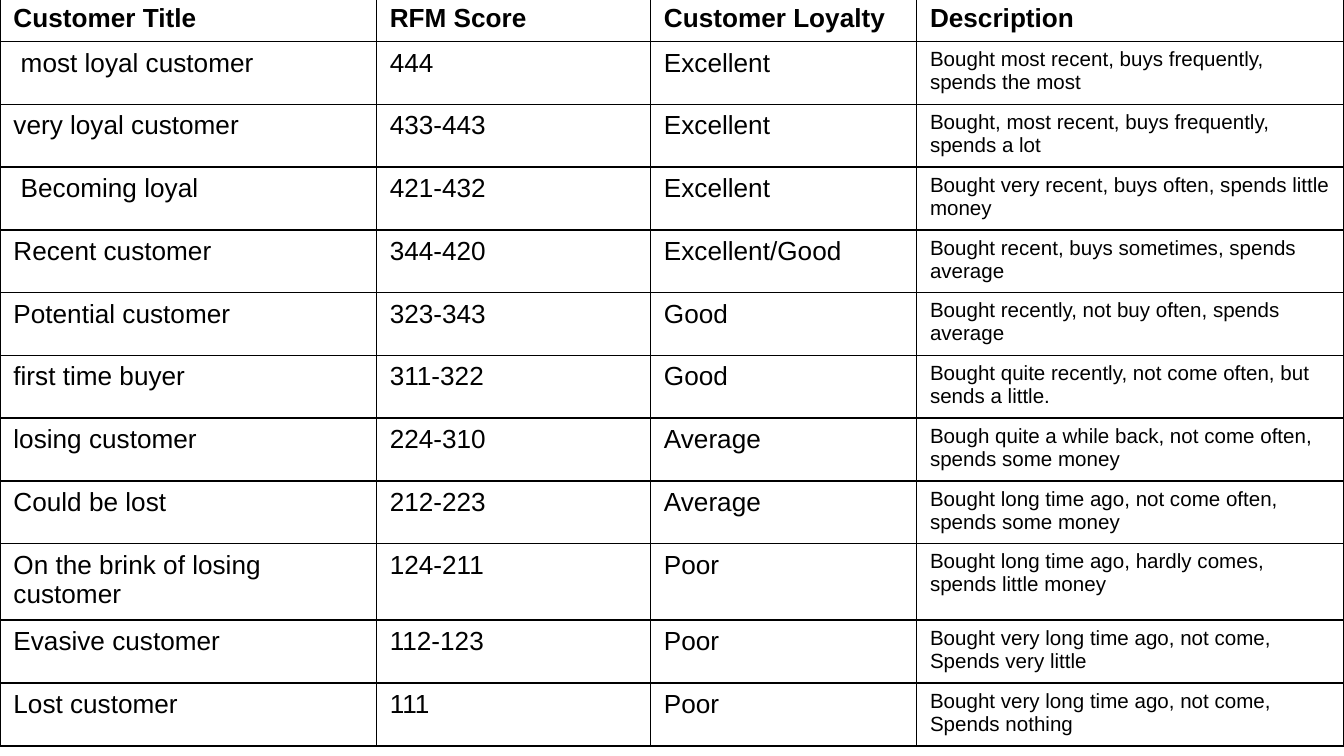
from dataclasses import dataclass

from lxml import etree
from pptx import Presentation
from pptx import util as u
from pptx.dml import color
from pptx.oxml import ns


@dataclass(frozen=True)
class Theme:
    font: str = "Arial"
    ink: str = "000000"
    body: int = 14
    description: int = 11
    border: int = 1


THEME = Theme()
SLIDE_WIDTH = 10
SLIDE_HEIGHT = SLIDE_WIDTH * 9 / 16
HEADERS = ["Customer Title", "RFM Score", "Customer Loyalty", "Description"]
SEGMENTS = [
    [" most loyal customer", "444", "Excellent",
     "Bought most recent, buys frequently, spends the most"],
    ["very loyal customer", "433-443", "Excellent",
     "Bought, most recent, buys frequently, spends a lot"],
    [" Becoming loyal", "421-432", "Excellent",
     "Bought very recent, buys often, spends little money"],
    ["Recent customer", "344-420", "Excellent/Good",
     "Bought recent, buys sometimes, spends average"],
    ["Potential customer", "323-343", "Good",
     "Bought recently, not buy often, spends average"],
    ["first time buyer", "311-322", "Good",
     "Bought quite recently, not come often, but sends a little."],
    ["losing customer", "224-310", "Average",
     "Bough quite a while back, not come often, spends some money"],
    ["Could be lost", "212-223", "Average",
     "Bought long time ago, not come often, spends some money"],
    ["On the brink of losing customer", "124-211", "Poor",
     "Bought long time ago, hardly comes, spends little money"],
    ["Evasive customer", "112-123", "Poor",
     "Bought very long time ago, not come,\nSpends very little"],
    ["Lost customer", "111", "Poor",
     "Bought very long time ago, not come,\nSpends nothing"],
]
COLUMN_WIDTHS = [2.8, 2.04, 1.98, 3.18]
TABLE_TOP, TABLE_HEIGHT = -0.02, 5.57
HEADER_HEIGHT, WRAPPED_HEIGHT = 0.33, 0.57
WRAPPED_ROW = 9


def row_heights():
    count = len(SEGMENTS)
    regular = (TABLE_HEIGHT - HEADER_HEIGHT - WRAPPED_HEIGHT) / (count - 1)
    heights = [HEADER_HEIGHT] + [regular] * count
    heights[WRAPPED_ROW] = WRAPPED_HEIGHT
    return heights


def add_borders(cell):
    tcPr = cell._tc.get_or_add_tcPr()
    for i, side in enumerate(("lnL", "lnR", "lnT", "lnB")):
        ln = etree.Element(ns.qn(f"a:{side}"), w=str(u.Pt(THEME.border)))
        fill = etree.SubElement(ln, ns.qn("a:solidFill"))
        etree.SubElement(fill, ns.qn("a:srgbClr"), val=THEME.ink)
        tcPr.insert(i, ln)


def fill_cell(cell, content, size, bold):
    cell.text = content
    cell.fill.background()
    cell.margin_left = cell.margin_right = u.Inches(0.1)
    cell.margin_top = cell.margin_bottom = u.Inches(0.05)
    for p in cell.text_frame.paragraphs:
        p.font.name = THEME.font
        p.font.size = u.Pt(size)
        p.font.bold = bold
        p.font.color.rgb = color.RGBColor.from_string(THEME.ink)
    add_borders(cell)


def add_segment_table(s):
    rows = [HEADERS] + SEGMENTS
    table = s.shapes.add_table(
        len(rows), len(HEADERS), u.Inches(0), u.Inches(TABLE_TOP),
        u.Inches(SLIDE_WIDTH), u.Inches(TABLE_HEIGHT)).table
    table.horz_banding = False
    for column, width in zip(table.columns, COLUMN_WIDTHS):
        column.width = u.Inches(width)
    for row, height in zip(table.rows, row_heights()):
        row.height = u.Inches(height)
    for i, row in enumerate(rows):
        for j, content in enumerate(row):
            is_description = i > 0 and j == len(HEADERS) - 1
            size = THEME.description if is_description else THEME.body
            fill_cell(table.cell(i, j), content, size, bold=i == 0)


def main():
    prs = Presentation()
    prs.slide_width = u.Inches(SLIDE_WIDTH)
    prs.slide_height = u.Inches(SLIDE_HEIGHT)
    s = prs.slides.add_slide(prs.slide_layouts[6])
    add_segment_table(s)
    prs.save("out.pptx")


if __name__ == "__main__":
    main()
